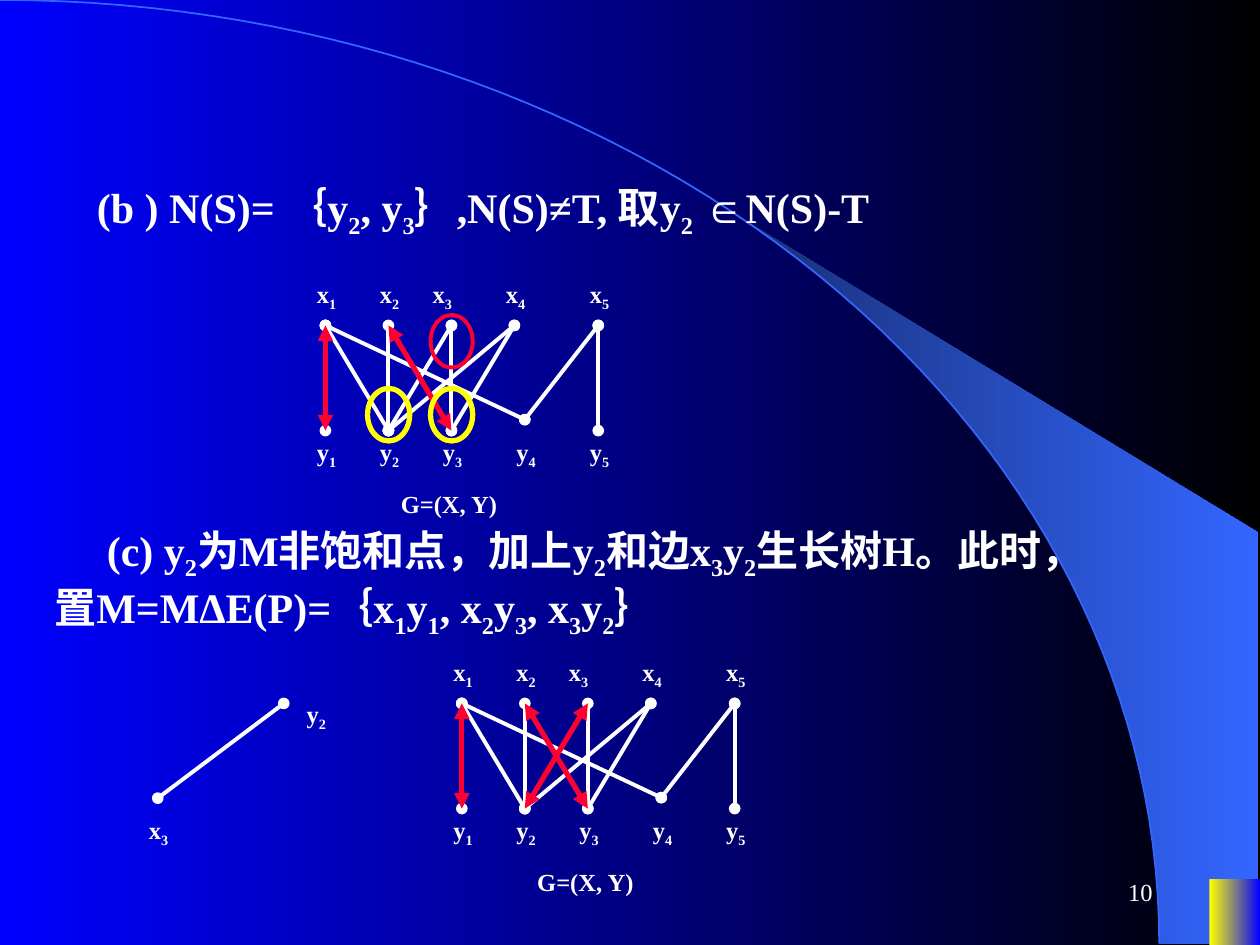
import dataclasses
import math

import lxml.etree
import pptx
import pptx.dml.color
import pptx.enum.shapes
import pptx.enum.text
import pptx.oxml.ns
import pptx.util

Cm = pptx.util.Cm
qn = pptx.oxml.ns.qn
SHAPE = pptx.enum.shapes.MSO_SHAPE
ALIGN = pptx.enum.text.PP_ALIGN
ANCHOR = pptx.enum.text.MSO_ANCHOR
FIT = pptx.enum.text.MSO_AUTO_SIZE


@dataclasses.dataclass(frozen=True)
class Theme:
    """Colours, fonts and sizes of the deck."""
    font: str = "Times New Roman"
    text: str = "FFFFFF"
    match: str = "FF0033"
    ring: str = "FFFF00"
    arc: str = "3366FF"
    wedge: tuple = ("182F76", "3366FF")
    backdrop: tuple = ("0000FF", "000000")
    corner: tuple = ("FFFF00", "0000FF")
    body_size: int = 24
    label_size: int = 14
    thin: float = 2.25
    thick: float = 3


def rgb(value):
    """Turn a hex string into a colour."""
    return pptx.dml.color.RGBColor.from_string(value)


class Painter:
    """Draws styled elements on the current slide."""

    def __init__(self, s, theme):
        self.s, self.theme = s, theme
        self.shapes = s.shapes

    def group(self):
        """Send the next elements into a new group."""
        self.shapes = self.s.shapes.add_group_shape().shapes

    def gradient(self, fill, colors):
        """Fill from left to right with two colours."""
        fill.gradient()
        fill.gradient_angle = 0
        for stop, color, position in zip(fill.gradient_stops, colors, (0, 1)):
            stop.color.rgb = rgb(color)
            stop.position = position

    def outline(self, line, color, width):
        """Set the colour and width of a line."""
        line.color.rgb = rgb(color)
        line.width = pptx.util.Pt(width)

    def paragraph(self, sp, text, size, bold=True, align=ALIGN.LEFT,
                  anchor=ANCHOR.TOP, fit=FIT.SHAPE_TO_FIT_TEXT, indent=0):
        """Set one paragraph, where _ lowers the next character."""
        tf = sp.text_frame
        for name, value in dict(word_wrap=True, auto_size=fit,
                                vertical_anchor=anchor).items():
            setattr(tf, name, value)
        p = tf.paragraphs[0]
        for name, value in dict(alignment=align, space_before=0).items():
            setattr(p, name, value)
        pPr = p._p.get_or_add_pPr()
        pPr.set("marL", "0")
        pPr.set("indent", str(Cm(indent)))
        lxml.etree.SubElement(pPr, qn("a:buNone"))
        first, *rest = text.split("_")
        pieces = [(first, False)]
        for part in rest:
            pieces += [(part[0], True), (part[1:], False)]
        style = dict(name=self.theme.font, size=pptx.util.Pt(size), bold=bold)
        for piece, lowered in pieces:
            if not piece:
                continue
            r = p.add_run()
            r.text = piece
            for name, value in style.items():
                setattr(r.font, name, value)
            r.font.color.rgb = rgb(self.theme.text)
            if lowered:
                r._r.get_or_add_rPr().set("baseline", "-25000")

    def placeholder(self, sp, box, text):
        """Place a template placeholder on top and fill it."""
        sp.left, sp.top, sp.width, sp.height = map(Cm, box)
        self.s.shapes.element.append(sp.element)
        self.paragraph(sp, text, self.theme.body_size, anchor=ANCHOR.MIDDLE,
                       indent=1.06)

    def text(self, box, text, **options):
        """Add a small text box."""
        sp = self.shapes.add_textbox(*map(Cm, box))
        self.paragraph(sp, text, self.theme.label_size, **options)

    def shape(self, kind, box):
        """Add a plain preset shape."""
        sp = self.shapes.add_shape(kind, *map(Cm, box))
        sp.shadow.inherit = False
        return sp

    def corner(self, box):
        """Add the gradient block in the corner."""
        sp = self.shape(SHAPE.RECTANGLE, box)
        self.gradient(sp.fill, self.theme.corner)
        sp.line.fill.background()

    def ring(self, x, y, color, width):
        """Add an open ellipse around a vertex."""
        sp = self.shape(SHAPE.OVAL, (x, y, 0.85, 1.06))
        sp.fill.background()
        self.outline(sp.line, color, width)

    def freeform(self, points, close):
        """Add an outline through the points."""
        start, *rest = [(Cm(x), Cm(y)) for x, y in points]
        builder = self.shapes.build_freeform(*start)
        builder.add_line_segments(rest, close=close)
        sp = builder.convert_to_shape()
        sp.shadow.inherit = False
        return sp

    def edge(self, start, end, matched=False):
        """Add a graph edge, red with arrows if it is matched."""
        t = self.theme
        c = self.shapes.add_connector(
            pptx.enum.shapes.MSO_CONNECTOR.STRAIGHT, *map(Cm, start + end))
        color, width, tip = ((t.match, t.thick, "triangle") if matched
                             else (t.text, t.thin, "oval"))
        self.outline(c.line, color, width)
        spPr = c.element.spPr
        for tag in ("a:headEnd", "a:tailEnd"):
            lxml.etree.SubElement(spPr.get_or_add_ln(), qn(tag), type=tip)
        lxml.etree.SubElement(spPr, qn("a:effectLst"))

    def graph(self, left, top, plain, matched):
        """Add a bipartite graph with vertex labels and caption."""
        self.group()
        columns = (0, 1.27, 2.54, 3.81, 5.5)
        spots = {f"x{i}": (left + x, top) for i, x in enumerate(columns, 1)}
        spots |= {f"y{i}": (left + x, top + 2.12)
                  for i, x in enumerate(columns, 1)}
        spots["y4"] = (left + 4.02, top + 1.9)
        for edges, flag in ((plain, False), (matched, True)):
            for name in edges.split():
                self.edge(spots[name[:2]], spots[name[2:]], flag)
        for name, (x, _) in spots.items():
            shift = 0.63 if name == "x3" else 0.42
            y = top - 1.06 if name[0] == "x" else top + 2.12
            self.text((x - shift, y, 1.1, 0.94), f"{name[0]}_{name[1]}")
        self.text((left + 1.27, top + 3.18, 2.79, 0.86), "G=(X, Y)")
        return spots

    def arc_points(self, start):
        """Return points on the backdrop curve from an angle to its foot."""
        steps = 60
        angles = (start + (math.pi / 2 - start) * i / steps
                  for i in range(steps + 1))
        return [(23.37 * math.sin(a), 19.02 * (1 - math.cos(a)))
                for a in angles]

    def backdrop(self):
        """Paint the background, wedge, curve and corner block."""
        self.gradient(self.s.background.fill, self.theme.backdrop)
        wedge = self.freeform(
            self.arc_points(0.69) + [(25.37, 19.02), (25.37, 10.74)], True)
        self.gradient(wedge.fill, self.theme.wedge)
        wedge.line.fill.background()
        curve = self.freeform(self.arc_points(0), False)
        curve.fill.background()
        self.outline(curve.line, self.theme.arc, 1)
        self.corner((24.38, 17.73, 1.02, 1.32))


def main():
    """Build the slide and save it."""
    prs = pptx.Presentation()
    prs.slide_width, prs.slide_height = Cm(25.4), Cm(19.05)
    s = prs.slides.add_slide(prs.slide_layouts[1])
    theme = Theme()
    d = Painter(s, theme)
    d.backdrop()
    d.text((18.21, 17.35, 5.28, 1.27), "10", bold=False, align=ALIGN.RIGHT,
           anchor=ANCHOR.MIDDLE, fit=FIT.NONE)
    d.placeholder(s.shapes.title, (0.64, 3.53, 23.93, 1.42),
                  "(b ) N(S)= ｛y_2, y_3｝,N(S)≠T, 取y_2 ∈N(S)-T")
    d.placeholder(s.placeholders[1], (0.84, 10.44, 20.96, 2.57),
                  "(c) y_2为M非饱和点，加上y_2和边x_3y_2生长树H。"
                  "此时，置M=MΔE(P)=｛x_1y_1, x_2y_3, x_3y_2｝")

    edges = "x1y1 x2y2 x3y3 x5y5 x1y2 x5y4 x1y4 x4y3 x4y2"
    matching = "x1y1 x2y3"
    spots = d.graph(6.56, 6.56, edges + " x3y2", matching)
    for name, rise, color, width in (("x3", 0.21, theme.match, theme.thin),
                                     ("y2", 0.85, theme.ring, theme.thick),
                                     ("y3", 0.85, theme.ring, theme.thick)):
        x, y = spots[name]
        d.ring(x - 0.42, y - rise, color, width)

    d.group()
    d.edge((3.18, 16.09), (5.72, 14.18))
    d.text((2.75, 16.3, 1.1, 0.94), "x_3")
    d.text((5.93, 13.97, 1.1, 0.94), "y_2")

    d.graph(9.31, 14.18, edges, matching + " x3y2")
    prs.save("out.pptx")


if __name__ == "__main__":
    main()
